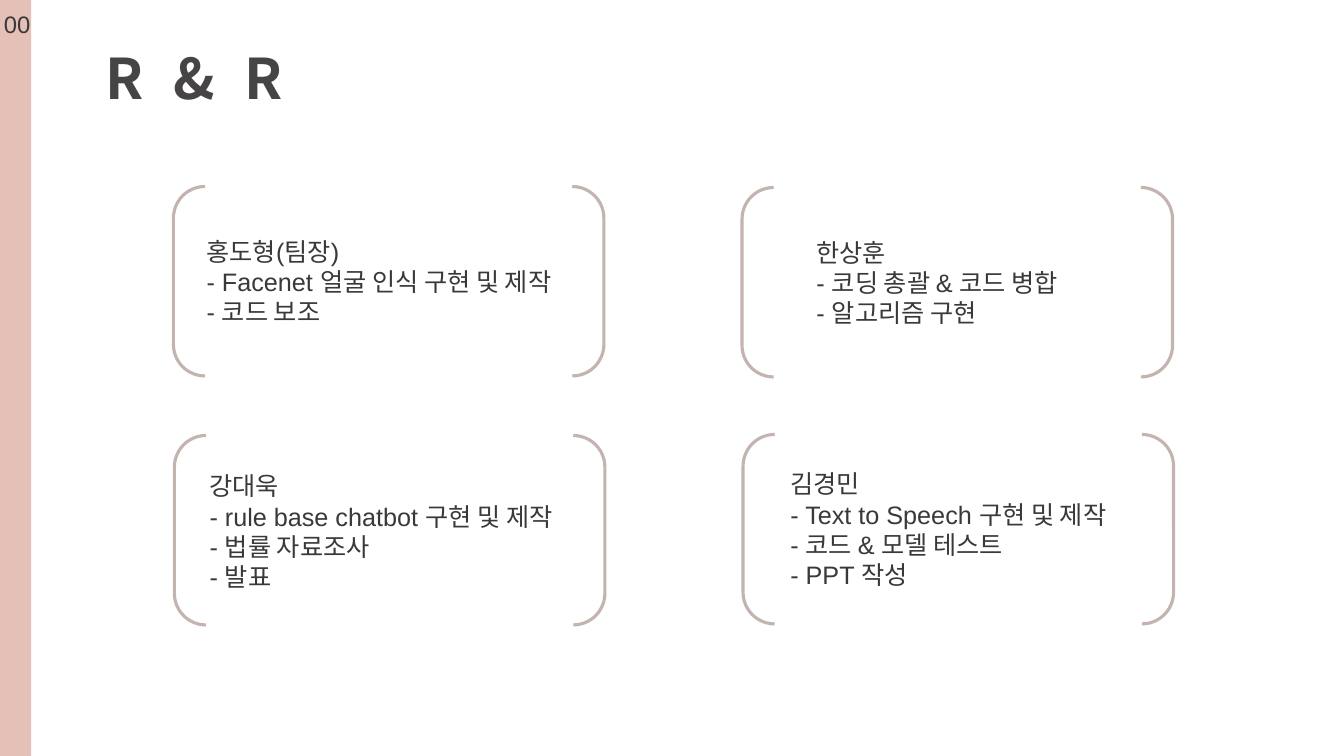
from pptx import Presentation
from pptx.dml.color import RGBColor
from pptx.enum.shapes import MSO_SHAPE
from pptx.enum.text import MSO_ANCHOR, MSO_AUTO_SIZE, PP_ALIGN
from pptx.oxml.ns import qn
from pptx.util import Inches, Pt
from lxml.etree import SubElement

BODY = {"name": "Arial", "size": Pt(18), "color": "3A3838"}
NUMBER = {**BODY, "size": Pt(17)}
HEADING = {"name": "Noto Sans CJK KR", "size": Pt(40), "bold": True, "color": "464444"}

BRACKET_SIZE = (4.27, 1.88)
MEMBERS = [
    ((1.72, 1.85), (1.95, 2.29, 3.81, 0.99),
     ["홍도형(팀장)", "- Facenet 얼굴 인식 구현 및 제작", "- 코드 보조"]),
    ((7.36, 1.86), (8, 2.3, 2.93, 0.99),
     ["한상훈", "- 코딩 총괄 & 코드 병합", "- 알고리즘 구현"]),
    ((1.73, 4.32), (1.98, 4.62, 3.76, 1.3),
     ["강대욱", "- rule base chatbot 구현 및 제작", "- 법률 자료조사", "- 발표"]),
    ((7.37, 4.31), (7.74, 4.6, 3.51, 1.29),
     ["김경민", "- Text to Speech 구현 및 제작", "- 코드 & 모델 테스트", "- PPT 작성"]),
]


def color(value):
    return RGBColor.from_string(value)


def place(shape, bounds):
    for name, value in zip(("left", "top", "width", "height"), bounds):
        setattr(shape, name, Inches(value))


def write(shape, lines, style, wrap=True):
    frame = shape.text_frame
    settings = {"word_wrap": wrap, "vertical_anchor": MSO_ANCHOR.TOP,
                "auto_size": MSO_AUTO_SIZE.SHAPE_TO_FIT_TEXT}
    for name, value in settings.items():
        setattr(frame, name, value)
    frame.text = "\n".join(lines)
    for para in frame.paragraphs:
        para.alignment = PP_ALIGN.LEFT
        for span in para.runs:
            for name, value in style.items():
                if name == "color":
                    span.font.color.rgb = color(value)
                else:
                    setattr(span.font, name, value)


def add_title(page, text, bounds):
    title = page.shapes.title
    place(title, bounds)
    write(title, [text], HEADING, wrap=False)
    span = title.text_frame.paragraphs[0].runs[0]
    span.font._element.set("spc", "600")


def add_text(page, lines, bounds, style):
    box = page.shapes.add_textbox(*map(Inches, bounds))
    write(box, lines, style)


def add_side_band(page, bounds):
    band = page.shapes.add_shape(MSO_SHAPE.RECTANGLE, *map(Inches, bounds))
    band.shadow.inherit = False
    band.line.fill.background()
    band.fill.solid()
    band.fill.fore_color.rgb = color("C87661")
    tint = band.fill._xPr.find(".//" + qn("a:srgbClr"))
    SubElement(tint, qn("a:alpha"), val="46000")


def add_bracket(page, corner):
    bracket = page.shapes.add_shape(
        MSO_SHAPE.DOUBLE_BRACKET, *map(Inches, corner + BRACKET_SIZE))
    bracket.adjustments[0] = 0.167
    bracket.shadow.inherit = False
    bracket.fill.background()
    bracket.line.color.rgb = color("C3B4B0")
    bracket.line.width = Pt(2.25)


def main():
    deck = Presentation()
    deck.slide_width = Inches(13.33)
    deck.slide_height = Inches(7.5)
    page = deck.slides.add_slide(deck.slide_layouts[5])
    add_title(page, "R & R", (0.95, 0.38, 2.16, 0.77))
    add_side_band(page, (0, 0, 0.31, 7.5))
    add_text(page, ["00"], (-0.06, 0.05, 0.49, 0.38), NUMBER)
    for corner, bounds, lines in MEMBERS:
        add_text(page, lines, bounds, BODY)
        add_bracket(page, corner)
    deck.save("out.pptx")


if __name__ == "__main__":
    main()
